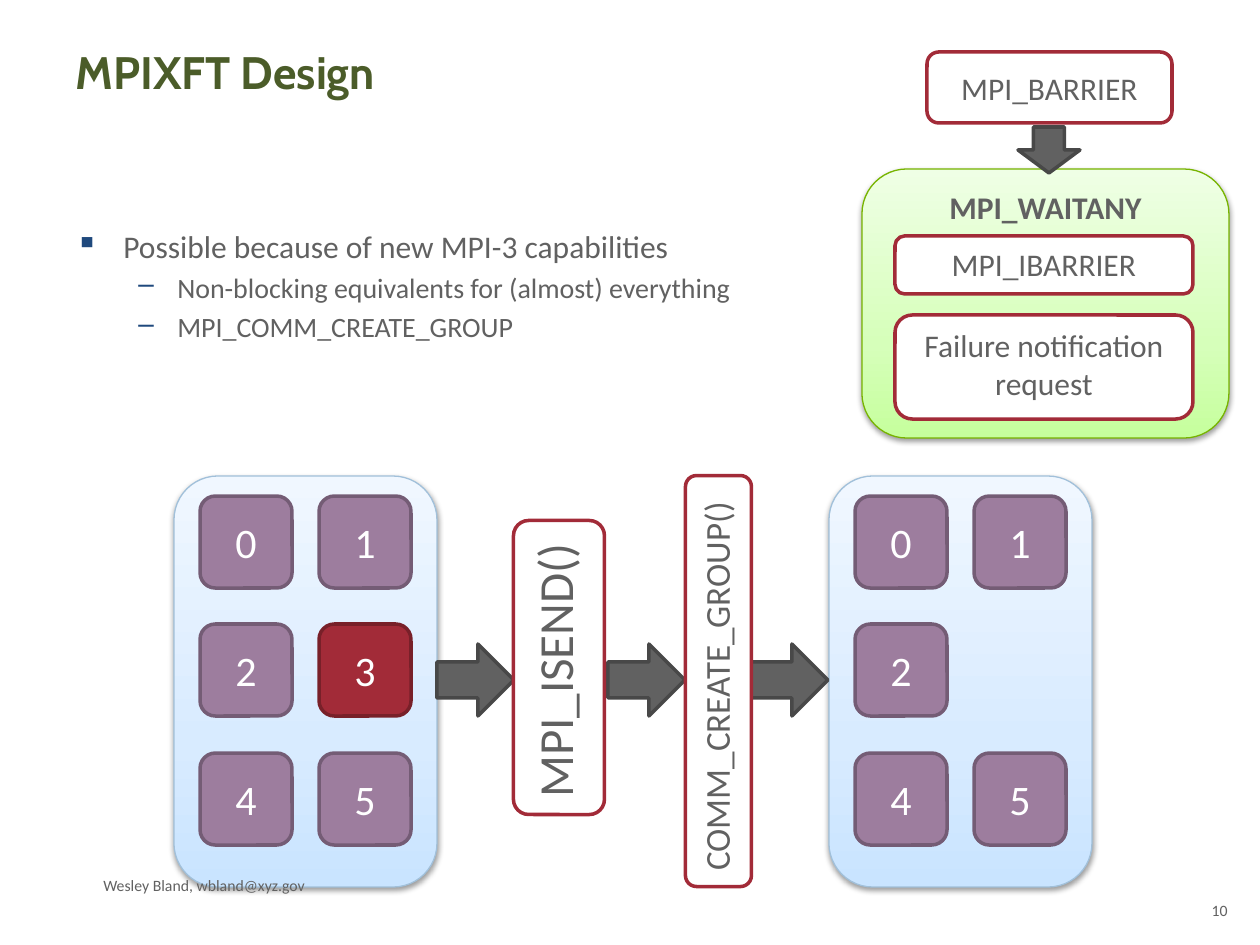
"""Build the MPIXFT Design slide with its barrier and group-recovery diagrams."""
from copy import deepcopy

from lxml import etree
from pptx import Presentation
from pptx.dml.color import RGBColor
from pptx.enum.shapes import MSO_SHAPE
from pptx.enum.text import MSO_ANCHOR, PP_ALIGN
from pptx.oxml.ns import qn
from pptx.util import Pt

ROUNDED = MSO_SHAPE.ROUNDED_RECTANGLE
RIGHT_ARROW, DOWN_ARROW = MSO_SHAPE.RIGHT_ARROW, MSO_SHAPE.DOWN_ARROW
LEFT, CENTER, RIGHT = PP_ALIGN.LEFT, PP_ALIGN.CENTER, PP_ALIGN.RIGHT
TOP, MIDDLE = MSO_ANCHOR.TOP, MSO_ANCHOR.MIDDLE
PX = 914400 / 126

THEME = {
    "heading_font": "Cabin", "body_font": "Calibri",
    "heading": "4B5C29", "text": "616161", "light_text": "FFFFFF", "bullet": "1F497D",
    "call": ("FFFFFF", "A22B38", 2),
    "arrow": ("616161", "484848", 2),
    "process": ("9D7D9E", "745C75", 2),
    "failed": ("A22B38", "782029", 2),
    "wait_panel": (("C6FF9D", "D6FFBA", "EFFFE5"), "77B400", 0.75),
    "group_panel": (("C9E4FF", "D8EBFF", "F0F7FF"), "A1C0DA", 0.75),
    "title_size": 26, "body_size": 18, "sub_size": 16, "process_size": 24,
    "send_size": 28, "create_size": 20, "footer_size": 9,
}


def write(shape, text, size, color="text", font="body_font", align=LEFT, anchor=TOP, bold=False):
    """Fill a shape with lines of text in one style."""
    frame = shape.text_frame
    frame.word_wrap = True
    frame.vertical_anchor = anchor
    frame.text = text
    for paragraph in frame.paragraphs:
        paragraph.alignment = align
        paragraph.font.name = THEME[font]
        paragraph.font.size = Pt(THEME[size])
        paragraph.font.bold = bold
        paragraph.font.color.rgb = RGBColor.from_string(THEME[color])


def draw(kind, box, style):
    """Add a preset shape; a style with three fill colours is a shaded panel."""
    fill, line, width = THEME[style]
    shape = slide.shapes.add_shape(kind, *(round(value * PX) for value in box))
    shape.shadow.inherit = False
    if isinstance(fill, str):
        shape.fill.solid()
        shape.fill.fore_color.rgb = RGBColor.from_string(fill)
    else:
        shape.fill.gradient()
        shape.fill.gradient_angle = 90
        properties = shape._element.spPr
        stop_list = properties.find(".//" + qn("a:gsLst"))
        stop_list.insert(1, deepcopy(stop_list[0]))
        for stop, color, position in zip(shape.fill.gradient_stops, fill, (0, 0.35, 1)):
            stop.color.rgb = RGBColor.from_string(color)
            stop.position = position
        shadow = etree.SubElement(properties.find(qn("a:effectLst")), qn("a:outerShdw"),
                                  blurRad="40000", dist="20000", dir="5400000", rotWithShape="0")
        shade = etree.SubElement(shadow, qn("a:srgbClr"), val="000000")
        etree.SubElement(shade, qn("a:alpha"), val="38000")
    shape.line.color.rgb = RGBColor.from_string(line)
    shape.line.width = Pt(width)
    return shape


presentation = Presentation()
presentation.slide_width, presentation.slide_height = round(1260 * PX), round(945 * PX)
slide = presentation.slides.add_slide(presentation.slide_layouts[6])

for text, box, style, anchor in (
    ("MPI_BARRIER", (927, 52, 245, 71), "call", MIDDLE),
    ("MPI_WAITANY", (862, 169, 367, 269), "wait_panel", TOP),
    ("MPI_IBARRIER", (895, 236, 298, 58), "call", TOP),
    ("Failure notification request", (895, 315, 298, 104), "call", TOP),
):
    write(draw(ROUNDED, box, style), text, "body_size", align=CENTER, anchor=anchor,
          bold=style == "wait_panel")
draw(DOWN_ARROW, (1018, 127, 62, 46), "arrow")

FAILED_RANK = 3
for panel_left, failure_removed in ((174, False), (829, True)):
    draw(ROUNDED, (panel_left, 476, 263, 411), "group_panel")
    for rank in range(6):
        failed = rank == FAILED_RANK
        if failed and failure_removed:
            continue
        row, column = divmod(rank, 2)
        box = (panel_left + 26 + 119 * column, 496 + 257 * row // 2, 92, 92)
        write(draw(ROUNDED, box, "failed" if failed else "process"), str(rank),
              "process_size", "light_text", align=CENTER, anchor=MIDDLE)

for arrow_left in (437, 608, 751):
    draw(RIGHT_ARROW, (arrow_left, 644, 77, 72), "arrow")
for text, box, size in (
    ("MPI_ISEND()", (412, 622, 294, 91), "send_size"),
    ("COMM_CREATE_GROUP()", (513, 648, 411, 66), "create_size"),
):
    call = draw(ROUNDED, box, "call")
    call.rotation = 270
    write(call, text, size)

title_box, body_box, footer_box, number_box = [
    slide.shapes.add_textbox(*(round(value * PX) for value in box))
    for box in ((63, 38, 1134, 157), (63, 221, 696, 160), (91, 870, 819, 32), (1187, 895, 53, 50))
]
write(title_box, "MPIXFT Design", "title_size", "heading", "heading_font", bold=True)
write(footer_box, "Wesley Bland, wbland@xyz.gov", "footer_size")
write(number_box, "10", "footer_size", align=RIGHT)

write(body_box, "Possible because of new MPI-3 capabilities\n"
      "Non-blocking equivalents for (almost) everything\n"
      "MPI_COMM_CREATE_GROUP", "body_size")
for index, paragraph in enumerate(body_box.text_frame.paragraphs):
    level = min(index, 1)
    size = THEME[("body_size", "sub_size")[level]]
    paragraph.level = level
    paragraph.font.size = Pt(size)
    paragraph.space_before = Pt(size * 0.2)
    properties = paragraph._p.get_or_add_pPr()
    margin, hanging = ((48, 48), (102, 39))[level]
    properties.set("marL", str(round(margin * PX)))
    properties.set("indent", str(round(-hanging * PX)))
    bullet_color = etree.SubElement(properties, qn("a:buClr"))
    etree.SubElement(bullet_color, qn("a:srgbClr"), val=THEME["bullet"])
    etree.SubElement(properties, qn("a:buChar"), char="▪–"[level])

presentation.save("out.pptx")
